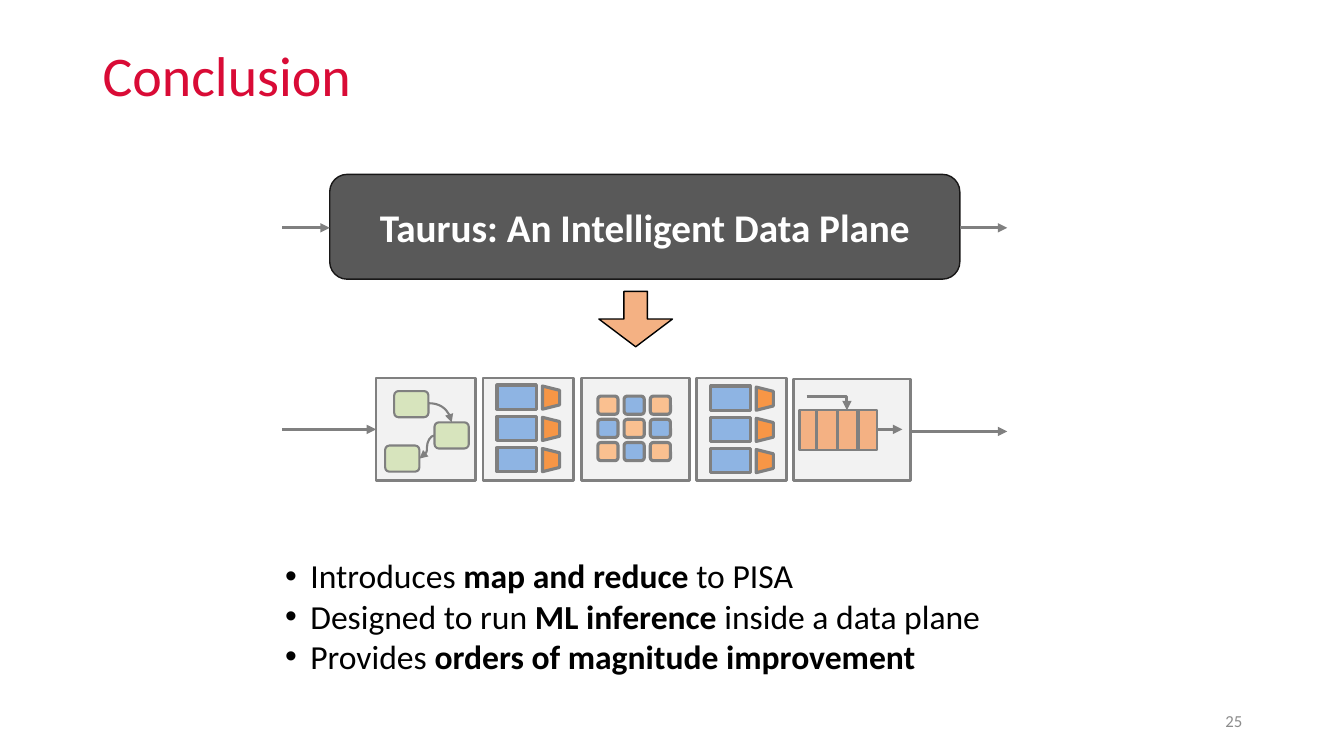
from dataclasses import dataclass

from pptx import Presentation
from pptx import util as u
from pptx.dml.color import RGBColor
from pptx.enum import shapes, text
from pptx.oxml.ns import qn
from lxml import etree

PX = u.Inches(1) // 100
SHAPE = shapes.MSO_SHAPE
CONNECTOR = shapes.MSO_CONNECTOR
ALIGN = text.PP_ALIGN
ANCHOR = text.MSO_ANCHOR


@dataclass(frozen=True)
class Theme:
    font: str = "Calibri"
    title: str = "D90B36"
    body: str = "000000"
    number: str = "8C8C8C"
    banner: str = "595959"
    banner_line: str = "181717"
    banner_text: str = "FFFFFF"
    line: str = "808080"
    panel: str = "F2F2F2"
    parser: str = "D7E4BD"
    memory: str = "8EB4E3"
    action: str = "F79646"
    cell: str = "FAC090"
    queue: str = "F4B183"
    title_size: int = 40
    banner_size: int = 28
    body_size: int = 24
    number_size: int = 12


THEME = Theme()


def px(*lengths):
    return [length * PX for length in lengths]


def format_run(run, size, color, bold=False):
    run.font.name = THEME.font
    run.font.size = u.Pt(size)
    run.font.bold = bold
    run.font.color.rgb = RGBColor.from_string(color)


def add_label(slide, box, words, size, color, align=ALIGN.LEFT):
    frame = slide.shapes.add_textbox(*px(*box)).text_frame
    frame.word_wrap = True
    frame.vertical_anchor = ANCHOR.MIDDLE
    frame.text = words
    paragraph = frame.paragraphs[0]
    paragraph.alignment = align
    format_run(paragraph.runs[0], size, color)
    return paragraph


def add_bullets(slide, box, items):
    frame = slide.shapes.add_textbox(*px(*box)).text_frame
    frame.word_wrap = True
    for index, pieces in enumerate(items):
        paragraph = frame.add_paragraph() if index else frame.paragraphs[0]
        properties = paragraph._p.get_or_add_pPr()
        properties.set("marL", str(25 * PX))
        properties.set("indent", str(-25 * PX))
        etree.SubElement(properties, qn("a:buFont")).set("typeface", "Arial")
        etree.SubElement(properties, qn("a:buChar")).set("char", "•")
        for position, words in enumerate(pieces):
            run = paragraph.add_run()
            run.text = words
            format_run(run, THEME.body_size, THEME.body, bold=position == 1)


def add_block(slide, kind, box, fill, line=THEME.line, width=2.25):
    shape = slide.shapes.add_shape(kind, *px(*box))
    shape.shadow.inherit = False
    shape.fill.solid()
    shape.fill.fore_color.rgb = RGBColor.from_string(fill)
    shape.line.color.rgb = RGBColor.from_string(line)
    shape.line.width = u.Pt(width)
    return shape


def add_line(slide, points, width=2.25, kind=CONNECTOR.STRAIGHT, preset=None, arrow=True):
    connector = slide.shapes.add_connector(kind, *px(*points))
    connector.line.color.rgb = RGBColor.from_string(THEME.line)
    connector.line.width = u.Pt(width)
    properties = connector._element.spPr
    if preset:
        properties.find(qn("a:prstGeom")).set("prst", preset)
    if arrow:
        line = properties.find(qn("a:ln"))
        etree.SubElement(line, qn("a:tailEnd")).set("type", "triangle")
    etree.SubElement(properties, qn("a:effectLst"))


def add_banner(slide):
    banner = add_block(slide, SHAPE.ROUNDED_RECTANGLE, (327, 173, 625, 104),
                       THEME.banner, THEME.banner_line, 1)
    frame = banner.text_frame
    frame.text = "Taurus: An Intelligent Data Plane"
    frame.vertical_anchor = ANCHOR.MIDDLE
    paragraph = frame.paragraphs[0]
    paragraph.alignment = ALIGN.CENTER
    format_run(paragraph.runs[0], THEME.banner_size, THEME.banner_text, bold=True)

    arrow = add_block(slide, SHAPE.DOWN_ARROW, (594, 289, 73, 55), THEME.queue, THEME.body, 1)
    arrow.adjustments[0] = 0.32
    for left in (280, 952):
        add_line(slide, (left, 226, left + 47, 226))


def add_parser(slide):
    for left, top in ((391, 388), (431, 419), (382, 442)):
        add_block(slide, SHAPE.ROUNDED_RECTANGLE, (left, top, 34, 26), THEME.parser, width=1.5)
    add_line(slide, (425, 400, 448, 419), 1.5, CONNECTOR.CURVE, "curvedConnector2")
    add_line(slide, (431, 432, 416, 455), 1.5, CONNECTOR.CURVE)


def add_match_stage(slide, left, top):
    for row in range(3):
        y = top + 31 * row
        add_block(slide, SHAPE.RECTANGLE, (left, y, 39, 24), THEME.memory)
        action = add_block(slide, SHAPE.TRAPEZOID, (left + 42, y + 4, 23, 17), THEME.action)
        action.rotation = 90


def add_compute_grid(slide):
    for row in range(3):
        for column in range(3):
            fill = THEME.memory if (row + column) % 2 else THEME.cell
            add_block(slide, SHAPE.ROUNDED_RECTANGLE,
                      (593 + 26 * column, 393 + 23 * row, 20, 18), fill)


def add_queue(slide):
    add_block(slide, SHAPE.RECTANGLE, (793, 407, 77, 39), THEME.queue, width=1.5)
    for x in (810, 831, 851):
        add_line(slide, (x, 407, x, 445), arrow=False)
    add_line(slide, (800, 393, 840, 407), kind=CONNECTOR.ELBOW, preset="bentConnector2")
    add_line(slide, (870, 426, 895, 426))


def add_pipeline(slide):
    for left, width in ((373, 99), (479, 90), (577, 107), (691, 89)):
        add_block(slide, SHAPE.RECTANGLE, (left, 375, width, 102), THEME.panel, width=2)
    add_block(slide, SHAPE.RECTANGLE, (787, 376, 116, 101), THEME.panel, width=2)
    add_parser(slide)
    add_match_stage(slide, 493, 382)
    add_compute_grid(slide)
    add_match_stage(slide, 705, 383)
    add_queue(slide)
    add_line(slide, (280, 426, 373, 426))
    add_line(slide, (902, 428, 999, 428))


def main():
    presentation = Presentation()
    presentation.slide_width, presentation.slide_height = px(1333, 750)
    slide = presentation.slides.add_slide(presentation.slide_layouts[6])
    title = add_label(slide, (92, 40, 1150, 75), "Conclusion", THEME.title_size, THEME.title)
    title.line_spacing = 0.9
    add_bullets(slide, (273, 546, 1115, 210), (
        ("Introduces ", "map and reduce ", "to PISA"),
        ("Designed to run ", "ML inference", " inside a data plane"),
        ("Provides ", "orders of magnitude improvement"),
    ))
    add_banner(slide)
    add_pipeline(slide)
    add_label(slide, (942, 695, 300, 40), "25", THEME.number_size, THEME.number, ALIGN.RIGHT)
    presentation.save("out.pptx")


if __name__ == "__main__":
    main()
